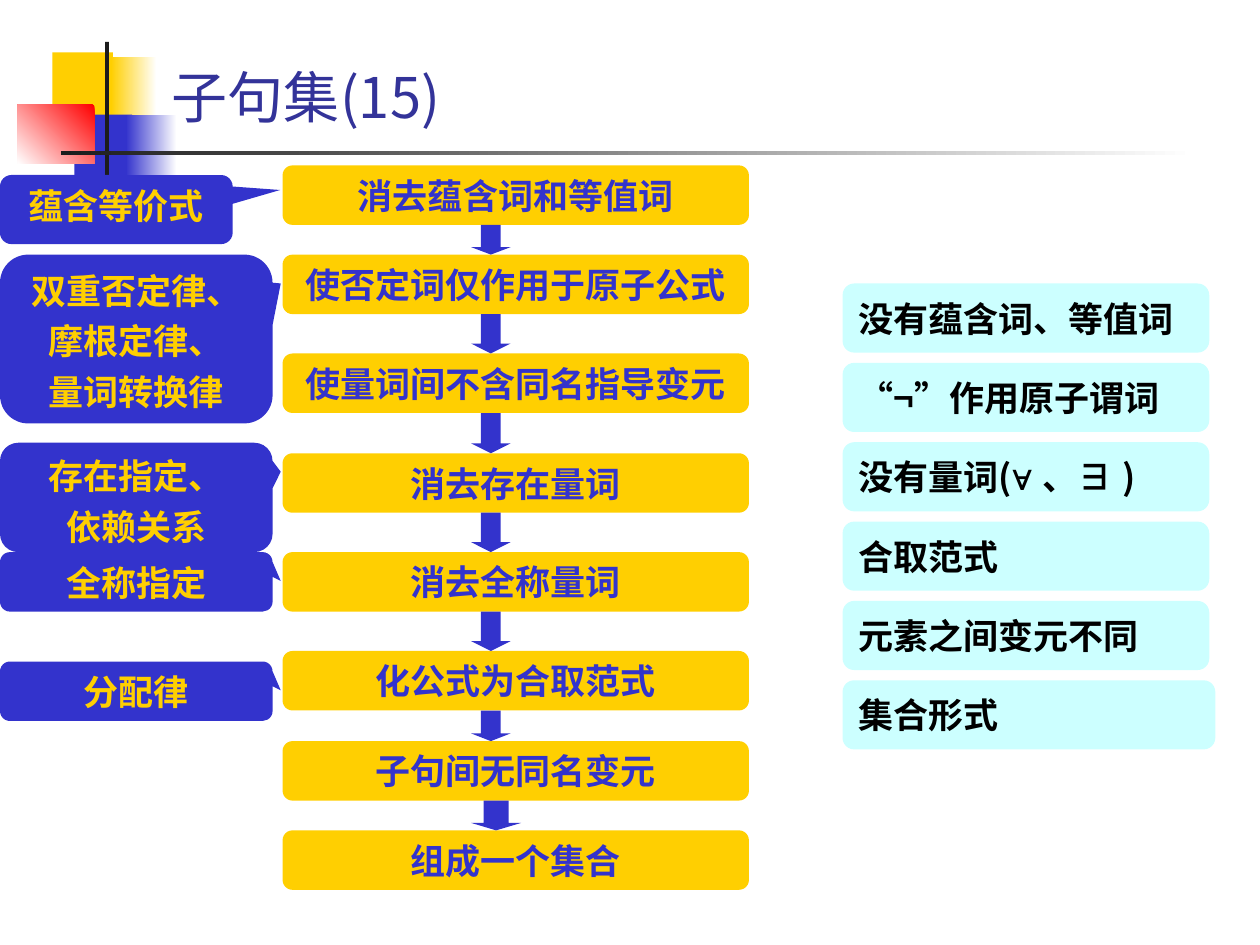
import pptx
import pptx.util
import pptx.dml.color
import pptx.enum.shapes
import pptx.enum.text
import pptx.oxml.ns
import lxml.etree

Pt = pptx.util.Pt
SHAPE = pptx.enum.shapes.MSO_SHAPE
ALIGN = pptx.enum.text.PP_ALIGN
ANCHOR = pptx.enum.text.MSO_ANCHOR
COLORS = {
    "gold": "FFCF01", "blue": "3333CC", "navy": "333399", "red": "FF0000",
    "cyan": "CCFFFF", "dark": "1C1C1C", "white": "FFFFFF", "black": "000000",
}
CJK = "Noto Sans CJK SC"


def add_block(kind, box, fill, adjustments=(), angle=None):
    """Add a shape without line; two fill colours make a gradient."""
    shape = slide.shapes.add_shape(kind, *[Pt(length) for length in box])
    shape.shadow.inherit = False
    shape.line.fill.background()
    for index, value in enumerate(adjustments):
        shape.adjustments[index] = value
    if angle is None:
        shape.fill.solid()
        shape.fill.fore_color.rgb = pptx.dml.color.RGBColor.from_string(COLORS[fill])
    else:
        shape.fill.gradient()
        shape.fill.gradient_angle = angle
        for stop, name in zip(shape.fill.gradient_stops, fill):
            stop.color.rgb = pptx.dml.color.RGBColor.from_string(COLORS[name])
    return shape


def write_text(shape, lines, color, anchor, align, size=20, bold=True):
    """Fill a shape with paragraphs, each a list of (text, font name) runs."""
    frame = shape.text_frame
    frame_format = {
        "word_wrap": True, "vertical_anchor": anchor,
        "margin_left": Pt(7.2), "margin_right": Pt(7.2),
        "margin_top": Pt(3.6), "margin_bottom": Pt(3.6),
    }
    for name, value in frame_format.items():
        setattr(frame, name, value)
    for index, runs in enumerate(lines):
        paragraph = frame.add_paragraph() if index else frame.paragraphs[0]
        paragraph.alignment = align
        paragraph.space_before = Pt(5 if index else 0)
        for text, font_name in runs:
            run = paragraph.add_run()
            run.text = text
            font_format = {"size": Pt(size), "bold": bold, "name": font_name}
            for name, value in font_format.items():
                setattr(run.font, name, value)
            run.font.color.rgb = pptx.dml.color.RGBColor.from_string(COLORS[color])
            east_asian = lxml.etree.SubElement(
                run.font._element, pptx.oxml.ns.qn("a:ea"))
            east_asian.set("typeface", font_name)


presentation = pptx.Presentation()
presentation.slide_width = Pt(720)
presentation.slide_height = Pt(540)
slide = presentation.slides.add_slide(presentation.slide_layouts[5])

# Corner ornament and title rule
ornament = [
    ((30, 30, 34.5, 37.5), "gold", None),
    ((63.5, 32.5, 26, 37.5), ("white", "gold"), 180),
    ((42.5, 65.5, 33, 37.5), "blue", None),
    ((72, 65.5, 29, 37.5), ("white", "blue"), 180),
    ((10, 60, 44, 33.5), ("red", "white"), 225),
    ((60, 24, 2.25, 83), "dark", None),
    ((34.75, 86.5, 648, 2.25), ("white", "dark"), 180),
]
for box, fill, angle in ornament:
    add_block(SHAPE.RECTANGLE, box, fill, angle=angle)

# Title
title = slide.shapes.title
title_box = {"left": 91, "top": 16.5, "width": 613.5, "height": 61}
for name, value in title_box.items():
    setattr(title, name, Pt(value))
write_text(title, [[("子句集(15)", CJK)]], "navy", ANCHOR.BOTTOM, ALIGN.LEFT, 32, False)

# Column of steps
STEP_LEFT, STEP_WIDTH, STEP_HEIGHT = 161.5, 266.5, 34
steps = [
    (94.5, "消去蕴含词和等值词"),
    (145.5, "使否定词仅作用于原子公式"),
    (202, "使量词间不含同名指导变元"),
    (259, "消去存在量词"),
    (315.5, "消去全称量词"),
    (372, "化公式为合取范式"),
    (423.5, "子句间无同名变元"),
    (474.5, "组成一个集合"),
]
for top, text in steps:
    step = add_block(SHAPE.ROUNDED_RECTANGLE,
                     (STEP_LEFT, top, STEP_WIDTH, STEP_HEIGHT), "gold", [0.167])
    write_text(step, [[(text, "Roboto")]], "blue", ANCHOR.MIDDLE, ALIGN.CENTER)

# Arrows filling the gaps between steps
arrow_widths = [22.5] * 6 + [28.5]
for (top, _), (next_top, _), width in zip(steps, steps[1:], arrow_widths):
    bottom = top + STEP_HEIGHT
    add_block(SHAPE.DOWN_ARROW, (269.25, bottom, width, next_top - bottom),
              "blue", [0.5, 0.25])

# Properties of the result
properties = [
    [("没有蕴含词、等值词", "Roboto")],
    [("“¬”作用原子谓词", CJK)],
    [("没有量词(", CJK), ("∀ ", "Arial"), ("、", CJK), ("∃ ", "Arial"), (")", CJK)],
    [("合取范式", CJK)],
    [("元素之间变元不同", CJK)],
    [("集合形式", CJK)],
]
for index, runs in enumerate(properties):
    width = 213 if index == len(properties) - 1 else 209.5
    panel = add_block(SHAPE.ROUNDED_RECTANGLE,
                      (481.5, 162 + 45.35 * index, width, 39.5), "cyan", [0.167])
    write_text(panel, [runs], "black", ANCHOR.MIDDLE, ALIGN.LEFT)

# Callouts naming the rule behind each step
callouts = [
    ((0, 100, 133, 39.5), (0.704, -0.283), ["蕴含等价式"]),
    ((0, 145.5, 155.75, 96.5), (0.53, -0.329), ["双重否定律、", "摩根定律、", "量词转换律"]),
    ((0, 253, 155.75, 62.5), (0.53, -0.235), ["存在指定、", "依赖关系"]),
    ((0, 315.5, 155.75, 34), (0.53, -0.015), ["全称指定"]),
    ((0, 378, 155.75, 34), (0.53, -0.015), ["分配律"]),
]
for box, tip, lines in callouts:
    callout = add_block(SHAPE.ROUNDED_RECTANGULAR_CALLOUT, box, "blue", [*tip, 0.167])
    write_text(callout, [[(line, "Roboto")] for line in lines],
               "gold", ANCHOR.TOP, ALIGN.CENTER)

presentation.save("out.pptx")
